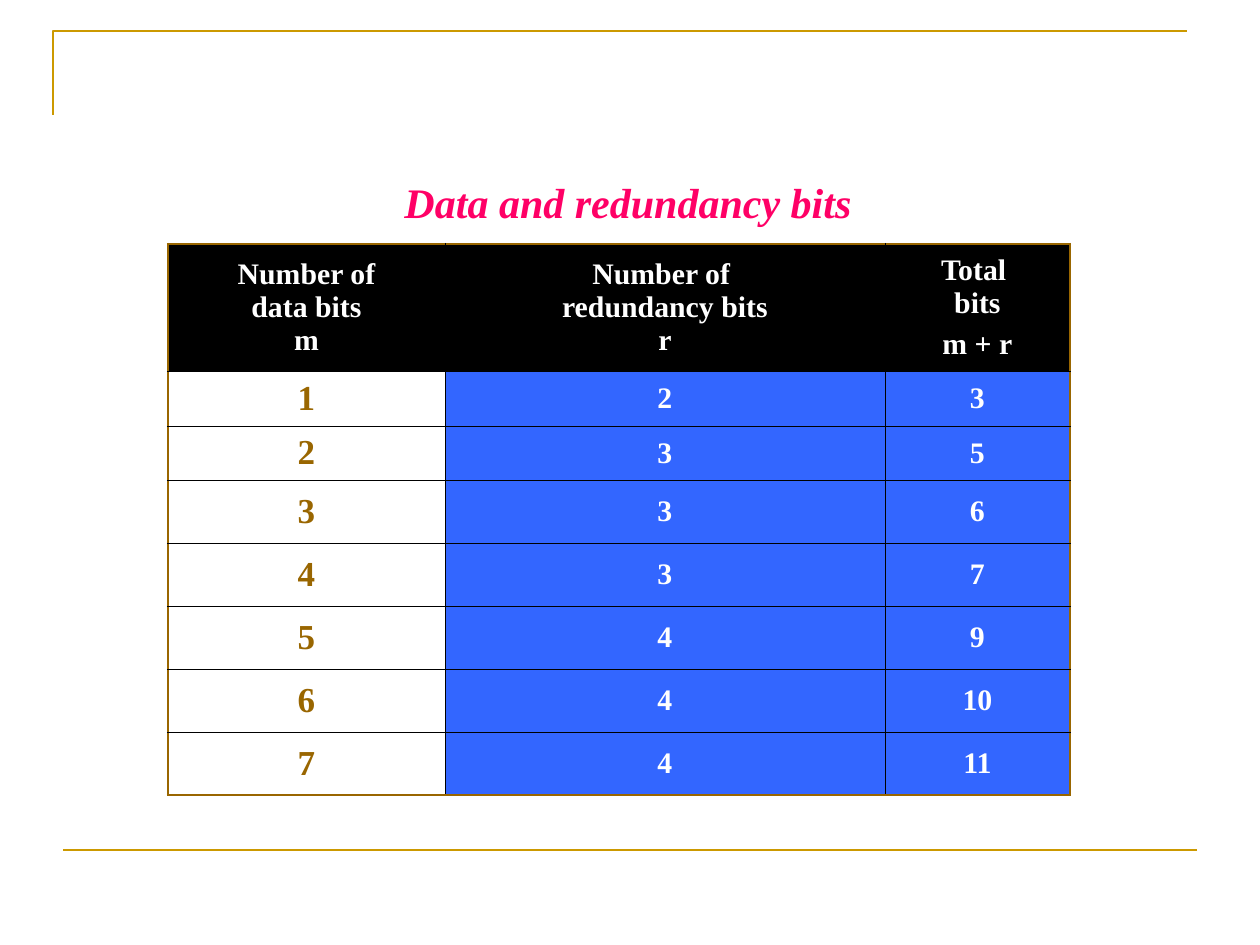
import lxml.etree
import pptx
import pptx.dml.color
import pptx.enum.shapes
import pptx.enum.text
import pptx.oxml.ns
import pptx.util

RGBColor = pptx.dml.color.RGBColor
GOLD = RGBColor(0xCC, 0x99, 0x00)
BROWN = RGBColor(0x99, 0x66, 0x00)
PINK = RGBColor(0xFF, 0x00, 0x66)
BLUE = RGBColor(0x33, 0x66, 0xFF)
BLACK = RGBColor(0x00, 0x00, 0x00)
WHITE = RGBColor(0xFF, 0xFF, 0xFF)

FONT = "Times New Roman"
EMU_PER_PX = 914400 / 126
CENTER = pptx.enum.text.PP_ALIGN.CENTER
MIDDLE = pptx.enum.text.MSO_ANCHOR.MIDDLE

COLUMN_WIDTHS = [277, 440, 185]
ROW_HEIGHTS = [127, 55, 54] + [63] * 5
HEADERS = [
    ["Number of\ndata bits\nm"],
    ["Number of \nredundancy bits\nr"],
    ["Total \nbits", "m + r"],
]
REDUNDANCY_BITS = [2, 3, 3, 3, 4, 4, 4]


def px(length):
    return pptx.util.Emu(round(length * EMU_PER_PX))


def format_paragraph(paragraph, size, color, italic=False):
    paragraph.alignment = CENTER
    font = paragraph.font
    font.name, font.size = FONT, pptx.util.Pt(size)
    font.bold, font.italic = True, italic
    font.color.rgb = color


def add_frame_lines(slide, left, top, width, height):
    """Corner bracket at the top left and a rule along the bottom."""
    builder = slide.shapes.build_freeform(px(left), px(top + 84))
    builder.add_line_segments(
        [(px(left), px(top)), (px(left + width), px(top))], close=False)
    bracket = builder.convert_to_shape()
    bracket.shadow.inherit = False
    bracket.fill.background()

    bottom = px(top + height)
    rule = slide.shapes.add_connector(
        pptx.enum.shapes.MSO_CONNECTOR.STRAIGHT,
        px(left + 10), bottom, px(left + 10 + width), bottom)
    lxml.etree.SubElement(
        rule.element.spPr, pptx.oxml.ns.qn("a:effectLst"))

    for shape in (bracket, rule):
        shape.line.color.rgb = GOLD
        shape.line.width = pptx.util.Pt(1.5)


def add_title(slide, left, top, width, height):
    title = slide.shapes.title
    title.left, title.top = px(left), px(top)
    title.width, title.height = px(width), px(height)
    text_frame = title.text_frame
    text_frame.text = "Data and redundancy bits"
    text_frame.word_wrap = True
    text_frame.auto_size = pptx.enum.text.MSO_AUTO_SIZE.NONE
    text_frame.vertical_anchor = MIDDLE
    format_paragraph(text_frame.paragraphs[0], 24, PINK, italic=True)


def set_borders(cell, outer_sides):
    """Brown on the outer sides of the table, thin black elsewhere."""
    properties = cell._tc.get_or_add_tcPr()
    for index, side in enumerate(("L", "R", "T", "B")):
        color, width = (BROWN, 1.47) if side in outer_sides else (BLACK, 0.45)
        line = pptx.oxml.parse_xml(
            f'<a:ln{side} {pptx.oxml.ns.nsdecls("a")} '
            f'w="{pptx.util.Pt(width)}"><a:solidFill>'
            f'<a:srgbClr val="{color}"/></a:solidFill></a:ln{side}>')
        properties.insert(index, line)


def fill_cell(cell, texts, size, color, background):
    cell.fill.solid()
    cell.fill.fore_color.rgb = background
    cell.vertical_anchor = MIDDLE
    text_frame = cell.text_frame
    for index, text in enumerate(texts):
        paragraph = (text_frame.add_paragraph() if index
                     else text_frame.paragraphs[0])
        paragraph.text = text
        paragraph.space_before = pptx.util.Pt(size / 4)
        format_paragraph(paragraph, size, color)


def add_bits_table(slide, left, top):
    rows = [HEADERS]
    for data, redundancy in enumerate(REDUNDANCY_BITS, start=1):
        rows.append([[str(value)]
                     for value in (data, redundancy, data + redundancy)])
    last_row, last_column = len(rows) - 1, len(COLUMN_WIDTHS) - 1

    table = slide.shapes.add_table(
        len(rows), len(COLUMN_WIDTHS), px(left), px(top),
        px(sum(COLUMN_WIDTHS)), px(sum(ROW_HEIGHTS))).table
    for column, width in zip(table.columns, COLUMN_WIDTHS):
        column.width = px(width)
    for row, height in zip(table.rows, ROW_HEIGHTS):
        row.height = px(height)

    for r, row in enumerate(rows):
        for c, texts in enumerate(row):
            cell = table.cell(r, c)
            if r == 0:
                style = (17, WHITE, BLACK)
            elif c == 0:
                style = (20, BROWN, WHITE)
            else:
                style = (17, WHITE, BLUE)
            fill_cell(cell, texts, *style)
            edges = {"L": c == 0, "R": c == last_column,
                     "T": r == 0, "B": r == last_row}
            set_borders(cell, [side for side in edges if edges[side]])


def main():
    presentation = pptx.Presentation()
    presentation.slide_width = px(1260)
    presentation.slide_height = px(945)
    slide = presentation.slides.add_slide(presentation.slide_layouts[5])

    add_frame_lines(slide, 53, 31, 1134, 819)
    add_title(slide, 173, 170, 910, 63)
    add_bits_table(slide, 168, 244)

    presentation.save("out.pptx")


if __name__ == "__main__":
    main()
